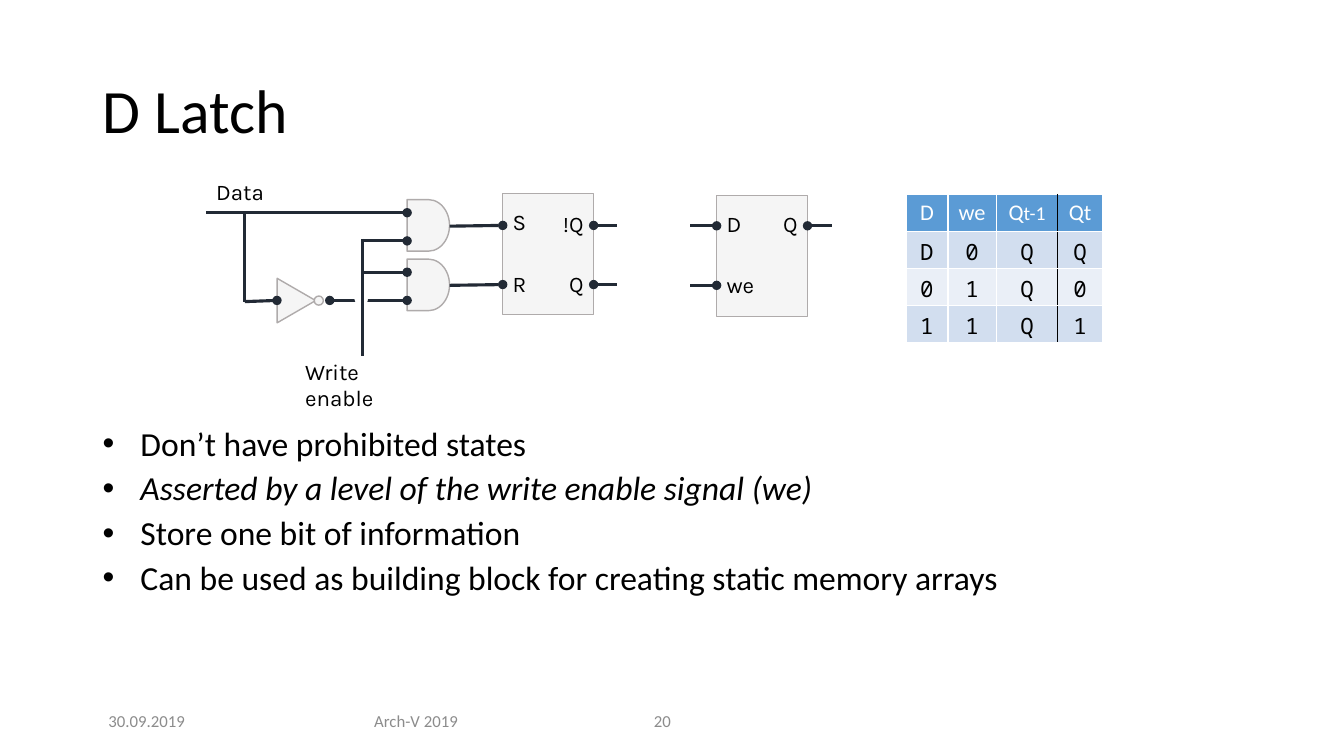
"""Builds the D Latch slide: circuit, block symbol, truth table and key points."""
from lxml import etree
from pptx import Presentation
from pptx import util as u
from pptx.dml.color import RGBColor
from pptx.enum import shapes, text
from pptx.oxml.ns import qn

COLORS = {"ink": "000000", "wire": "222A35", "body": "F5F5F5", "edge": "AFABAB",
          "paper": "FFFFFF", "muted": "8C8C8C", "header": "5B9BD5",
          "odd": "D2DEEF", "even": "EAEFF7"}
KIND = shapes.MSO_SHAPE
LEFT, CENTER, RIGHT = text.PP_ALIGN.LEFT, text.PP_ALIGN.CENTER, text.PP_ALIGN.RIGHT

TITLE = "D Latch"
POINTS = [("Don’t have prohibited states", False),
          ("Asserted by a level of the write enable signal (we)", True),
          ("Store one bit of information", False),
          ("Can be used as building block for creating static memory arrays", False)]
FOOTERS = [("30.09.2019", 2.34, 2.72, CENTER), ("Arch-V 2019", 8.48, 4.01, CENTER),
           ("20", 16.23, 2.01, LEFT)]
TRUTH = [["D", "we", "Q t-1", "Qt"], ["D", "0", "Q", "Q"],
         ["0", "1", "Q", "0"], ["1", "1", "Q", "1"]]
TRUTH_COLUMNS = [1.06, 1.22, 1.55, 1.12]
TRUTH_ROW = 0.93

TAP, BUS, GATE, GATE_OUT = 6.17, 9.14, 10.26, 11.33
LATCH, LATCH_OUT, SYMBOL, SYMBOL_OUT = 12.67, 14.96, 18.06, 20.35
DATA_Y, UPPER_Y, LOWER_Y, INVERTED_Y = 5.36, 6.07, 6.86, 7.57
S_Y, R_Y, D_Y, WE_Y = 5.68, 7.17, 5.69, 7.19

PARTS = [(KIND.RECTANGLE, LATCH, 4.88, LATCH_OUT - LATCH, 3.05, 0),
         (KIND.RECTANGLE, SYMBOL, 4.93, SYMBOL_OUT - SYMBOL, 3.05, 0),
         (KIND.FLOWCHART_DELAY, GATE, 5.03, GATE_OUT - GATE, 1.3, 0),
         (KIND.FLOWCHART_DELAY, GATE, 6.53, GATE_OUT - GATE, 1.3, 0),
         (KIND.ISOSCELES_TRIANGLE, 6.91, 7.09, 1.12, 0.97, 90),
         (KIND.OVAL, 7.92, 7.46, 0.23, 0.23, 0)]
PIN_WIRES = [(GATE_OUT, S_Y + 0.02, LATCH, S_Y), (GATE_OUT, R_Y + 0.02, LATCH, R_Y),
             (15.54, S_Y, LATCH_OUT, S_Y), (15.54, R_Y, LATCH_OUT, R_Y),
             (BUS, LOWER_Y, GATE, LOWER_Y), (BUS, UPPER_Y, GATE, UPPER_Y),
             (5.2, DATA_Y, GATE, DATA_Y), (TAP, INVERTED_Y + 0.03, 6.98, INVERTED_Y),
             (17.4, D_Y, SYMBOL, D_Y), (17.4, WE_Y, SYMBOL, WE_Y),
             (20.96, D_Y, SYMBOL_OUT, D_Y)]
INVERTER_WIRE = (8.31, INVERTED_Y, GATE, INVERTED_Y)
BRIDGE = (KIND.OVAL, 8.94, 7.39, 0.33, 0.3, 0)
PLAIN_WIRES = [(BUS, 6.02, BUS, 8.97), (TAP, DATA_Y, TAP, 7.62)]
LABELS = [("Data", 5.2, 4.37, 2, LEFT), ("Write enable", 7.44, 8.89, 2.5, LEFT),
          ("S", LATCH, 5.13, 1.1, LEFT), ("R", LATCH, 6.68, 1.1, LEFT),
          ("!Q", LATCH_OUT - 1.3, 5.18, 1.3, RIGHT), ("Q", LATCH_OUT - 1.1, 6.68, 1.1, RIGHT),
          ("D", SYMBOL, 5.18, 1.1, LEFT), ("we", SYMBOL, 6.71, 1.4, LEFT),
          ("Q", SYMBOL_OUT - 1.1, 5.16, 1.1, RIGHT)]


def rgb(name):
    return RGBColor.from_string(COLORS[name])


def style(font, size, face="Calibri", color="ink"):
    font.size, font.name = u.Pt(size), face
    font.color.rgb = rgb(color)


def add_text(slide, content, left, top, width, height, size, face="Calibri",
             color="ink", align=LEFT, anchor=text.MSO_ANCHOR.TOP):
    frame = slide.shapes.add_textbox(*map(u.Cm, (left, top, width, height))).text_frame
    frame.word_wrap, frame.vertical_anchor = True, anchor
    frame.text = content
    for paragraph in frame.paragraphs:
        paragraph.alignment = align
        style(paragraph.font, size, face, color)
    return frame


def add_part(slide, kind, left, top, width, height, turn, fill="body", edge="edge", weight=1):
    part = slide.shapes.add_shape(kind, *map(u.Cm, (left, top, width, height)))
    part.rotation = turn
    part.shadow.inherit = False
    part.fill.solid()
    part.fill.fore_color.rgb = rgb(fill)
    part.line.color.rgb = rgb(edge)
    part.line.width = u.Pt(weight)


def add_wire(slide, ends, *dots):
    wire = slide.shapes.add_connector(shapes.MSO_CONNECTOR.STRAIGHT, *map(u.Cm, ends))
    wire.line.color.rgb = rgb("wire")
    wire.line.width = u.Pt(2.25)
    for dot in dots:
        etree.SubElement(wire.line._get_or_add_ln(), qn(f"a:{dot}"), type="oval")
    etree.SubElement(wire._element.spPr, qn("a:effectLst"))


def set_borders(cell, sides):
    properties = cell._tc.get_or_add_tcPr()
    for position, (side, color) in enumerate(sides.items()):
        border = etree.Element(qn(f"a:ln{side}"), w=str(u.Pt(1)))
        fill = etree.SubElement(border, qn("a:solidFill"))
        etree.SubElement(fill, qn("a:srgbClr"), val=COLORS[color])
        properties.insert(position, border)


def add_truth_table(slide):
    size = (sum(TRUTH_COLUMNS), TRUTH_ROW * len(TRUTH))
    table = slide.shapes.add_table(len(TRUTH), len(TRUTH_COLUMNS),
                                   *map(u.Cm, (22.83, 4.9, *size))).table
    for column, width in zip(table.columns, TRUTH_COLUMNS):
        column.width = u.Cm(width)
    for r, values in enumerate(TRUTH):
        table.rows[r].height = u.Cm(TRUTH_ROW)
        for c, value in enumerate(values):
            cell = table.cell(r, c)
            cell.fill.solid()
            cell.fill.fore_color.rgb = rgb("header" if r == 0 else "odd" if r % 2 else "even")
            paragraph = cell.text_frame.paragraphs[0]
            paragraph.alignment = CENTER
            style(paragraph.font, 16, *(("Noto Sans Mono", "ink") if r else ("Calibri", "paper")))
            paragraph.font.bold = False
            symbol, *index = value.split()
            paragraph.add_run().text = symbol
            for suffix in index:
                run = paragraph.add_run()
                run.text, run.font.size = suffix, u.Pt(14)
            set_borders(cell, {"L": "ink" if c == 3 else "paper",
                               "R": "ink" if c == 2 else "paper", "T": "paper", "B": "paper"})


def add_points(slide):
    frame = add_text(slide, "\n".join(point for point, _ in POINTS),
                     2.34, 10.64, 29.21, 5.89, 24)
    for paragraph, (_, italic) in zip(frame.paragraphs, POINTS):
        paragraph.line_spacing, paragraph.space_before = 0.9, u.Pt(6)
        paragraph.font.italic = italic
        properties = paragraph._p.get_or_add_pPr()
        properties.set("marL", str(u.Cm(0.95)))
        properties.set("indent", str(-u.Cm(0.95)))
        bullet_font = etree.Element(qn("a:buFont"), typeface="Arial")
        bullet = etree.Element(qn("a:buChar"), char="•")
        properties.find(qn("a:defRPr")).addprevious(bullet_font)
        bullet_font.addnext(bullet)


def main():
    deck = Presentation()
    deck.slide_width, deck.slide_height = u.Cm(33.87), u.Cm(19.05)
    slide = deck.slides.add_slide(deck.slide_layouts[6])
    middle = text.MSO_ANCHOR.MIDDLE
    title = add_text(slide, TITLE, 2.34, 1.02, 29.21, 3.68, 44, anchor=middle)
    title.paragraphs[0].line_spacing = 0.9
    add_points(slide)
    for content, left, width, align in FOOTERS:
        add_text(slide, content, left, 17.65, width, 1.02, 12, color="muted",
                 align=align, anchor=middle)
    for part in PARTS:
        add_part(slide, *part)
    for wire in PIN_WIRES:
        add_wire(slide, wire, "tailEnd")
    add_wire(slide, INVERTER_WIRE, "headEnd", "tailEnd")
    add_part(slide, *BRIDGE, fill="paper", edge="paper", weight=0.25)
    for wire in PLAIN_WIRES:
        add_wire(slide, wire)
    for content, left, top, width, align in LABELS:
        add_text(slide, content, left, top, width, 0.94, 16, "Karla", align=align)
    add_truth_table(slide)
    deck.save("out.pptx")


if __name__ == "__main__":
    main()
